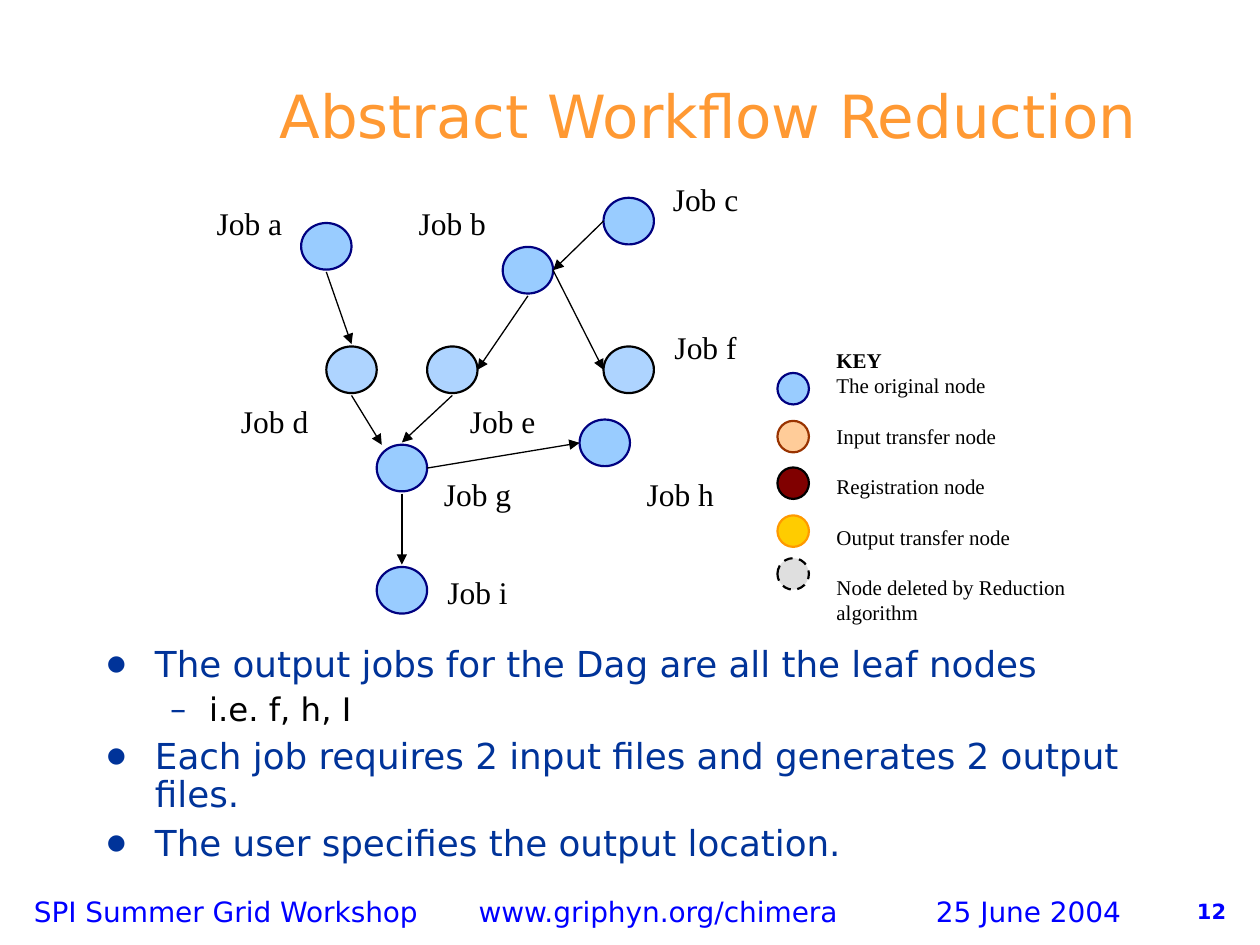
from lxml import etree
from pptx import Presentation
from pptx import util as u
from pptx.dml.color import RGBColor
from pptx.enum import dml, shapes, text
from pptx.oxml.ns import qn

SANS, SERIF = "DejaVu Sans", "Times New Roman"
BLACK, NAVY, BLUE, BODY_BLUE = "000000", "000080", "0000FF", "003399"
ORIGINAL = {"fill": "99CCFF", "line": NAVY}
LEAF = {"fill": "5FABFF", "line": BLACK, "alpha": 50}
NODE_WIDTH, NODE_HEIGHT, KEY_SIZE = 0.4, 0.37, 0.25

# job: node left and top, label left and top, style
JOBS = {
    "a": (2.39, 1.77, 1.58, 1.57, ORIGINAL),
    "b": (3.99, 1.96, 3.19, 1.57, ORIGINAL),
    "c": (4.79, 1.57, 5.2, 1.38, ORIGINAL),
    "d": (2.59, 2.75, 1.78, 3.14, LEAF),
    "e": (3.39, 2.75, 3.59, 3.14, LEAF),
    "f": (4.79, 2.75, 5.2, 2.55, LEAF),
    "g": (2.99, 3.53, 3.39, 3.72, ORIGINAL),
    "h": (4.6, 3.33, 5, 3.72, ORIGINAL),
    "i": (2.99, 4.5, 3.39, 4.5, ORIGINAL),
}

# Where an arrow may touch a node, as shares of its width and height
SIDES = {"top": (0.5, -0.05), "bottom": (0.5, 1.05), "left": (0, 0.5),
         "right": (1, 0.5), "shoulder": (0.1, 0)}

ARROWS = [
    ("a", "bottom", "d", "top"),
    ("d", "bottom", "g", "shoulder"),
    ("g", "bottom", "i", "top"),
    ("e", "bottom", "g", "top"),
    ("b", "bottom", "e", "right"),
    ("b", "right", "f", "left"),
    ("c", "left", "b", "right"),
    ("g", "right", "h", "left"),
]

# Key entries: text, circle top, style
KEY = [
    ("The original node", 2.96, ORIGINAL),
    ("Input transfer node", 3.34, {"fill": "FFCC99", "line": "993300"}),
    ("Registration node", 3.71, {"fill": "800000", "line": BLACK}),
    ("Output transfer node", 4.09, {"fill": "FFCC00", "line": "FF9900"}),
    ("Node deleted by Reduction algorithm", 4.43,
     {"fill": "C0C0C0", "line": BLACK, "alpha": 50, "dashed": True}),
]

BULLETS = [
    (0, "The output jobs for the Dag are all the leaf nodes"),
    (1, "i.e. f, h, I"),
    (0, "Each job requires 2 input files and generates 2 output files."),
    (0, "The user specifies the output location."),
]


def color(hex_value):
    return RGBColor.from_string(hex_value)


def add_xml(parent, tag, **attributes):
    return etree.SubElement(parent, qn(tag), attributes)


def write(paragraph, content, size=18, font=SERIF, ink=BLACK, bold=False,
          align=text.PP_ALIGN.LEFT, before=0):
    paragraph.alignment = align
    paragraph.space_before = u.Pt(before)
    run = paragraph.add_run()
    run.text = content
    run.font.size, run.font.name, run.font.bold = u.Pt(size), font, bold
    run.font.color.rgb = color(ink)


def place(shape, left, top, width, height):
    shape.left, shape.top = u.Inches(left), u.Inches(top)
    shape.width, shape.height = u.Inches(width), u.Inches(height)
    frame = shape.text_frame
    frame.word_wrap = True
    frame.auto_size = text.MSO_AUTO_SIZE.NONE
    frame.vertical_anchor = text.MSO_ANCHOR.TOP
    return frame


def add_text_box(slide, left, top, width, height):
    box = slide.shapes.add_textbox(0, 0, 0, 0)
    return place(box, left, top, width, height)


def add_circle(slide, left, top, width, height, fill, line, alpha=None, dashed=False):
    circle = slide.shapes.add_shape(
        shapes.MSO_SHAPE.OVAL, u.Inches(left), u.Inches(top),
        u.Inches(width), u.Inches(height))
    circle.shadow.inherit = False
    circle.fill.solid()
    circle.fill.fore_color.rgb = color(fill)
    circle.line.color.rgb = color(line)
    circle.line.width = u.Pt(1.25)
    if alpha:
        fill_color = circle._element.spPr.find(qn("a:solidFill"))[0]
        add_xml(fill_color, "a:alpha", val=str(alpha * 1000))
    if dashed:
        circle.line.dash_style = dml.MSO_LINE.DASH


def node_point(job, side):
    left, top = JOBS[job][:2]
    across, down = SIDES[side]
    return u.Inches(left + across * NODE_WIDTH), u.Inches(top + down * NODE_HEIGHT)


def add_arrow(slide, source, source_side, target, target_side):
    arrow = slide.shapes.add_connector(
        shapes.MSO_CONNECTOR.STRAIGHT,
        *node_point(source, source_side), *node_point(target, target_side))
    arrow.line.color.rgb = color(BLACK)
    arrow.line.width = u.Pt(0.75)
    add_xml(arrow.line._get_or_add_ln(), "a:tailEnd", type="triangle")
    add_xml(arrow._element.spPr, "a:effectLst")


def add_workflow(slide):
    for job, (left, top, label_left, label_top, style) in JOBS.items():
        add_circle(slide, left, top, NODE_WIDTH, NODE_HEIGHT, **style)
        label = add_text_box(slide, label_left, label_top, 0.8, 0.38)
        write(label.paragraphs[0], f"Job {job}", align=text.PP_ALIGN.CENTER)
    for arrow in ARROWS:
        add_arrow(slide, *arrow)


def add_key(slide):
    frame = add_text_box(slide, 6.54, 2.71, 2.37, 2.25)
    write(frame.paragraphs[0], "KEY", size=12, bold=True)
    for index, (name, top, style) in enumerate(KEY):
        write(frame.add_paragraph(), name, size=12, before=14.4 if index else 0)
        add_circle(slide, 6.17, top, KEY_SIZE, KEY_SIZE, **style)


def add_bullets(slide):
    frame = place(slide.placeholders[1], 0.75, 5.08, 8.5, 1.83)
    for index, (level, content) in enumerate(BULLETS):
        paragraph = frame.add_paragraph() if index else frame.paragraphs[0]
        paragraph.level = level
        paragraph.line_spacing = 0.9
        write(paragraph, content, font=SANS, size=18.5 if level else 20.4,
              ink=BLACK if level else BODY_BLUE,
              before=(5 if level else 5.5) if index else 0)
        # Bullet mark and hanging indent
        margin, hang = (0.81, 0.31) if level else (0.38, 0.38)
        properties = paragraph._p.get_or_add_pPr()
        properties.set("marL", str(u.Inches(margin)))
        properties.set("indent", str(-u.Inches(hang)))
        add_xml(add_xml(properties, "a:buClr"), "a:srgbClr", val=BODY_BLUE)
        add_xml(properties, "a:buSzPct", val="100000" if level else "60000")
        add_xml(properties, "a:buFont", typeface=SANS)
        add_xml(properties, "a:buChar", char="–" if level else "●")


def add_footer(slide):
    paragraph = add_text_box(slide, 0.17, 7.05, 9.25, 0.37).paragraphs[0]
    write(paragraph, "SPI Summer Grid Workshop\twww.griphyn.org/chimera\t25 June 2004",
          size=16, font=SANS, ink=BLUE)
    tabs = add_xml(paragraph._p.get_or_add_pPr(), "a:tabLst")
    for position in (3.53, 7.16):
        add_xml(tabs, "a:tab", pos=str(u.Inches(position)), algn="l")
    number = add_text_box(slide, 7.75, 7.08, 2.08, 0.33)
    write(number.paragraphs[0], "12", size=12, font=SANS, ink=BLUE, bold=True,
          align=text.PP_ALIGN.RIGHT)


def main():
    presentation = Presentation()
    presentation.slide_width, presentation.slide_height = u.Inches(10), u.Inches(7.5)
    slide = presentation.slides.add_slide(presentation.slide_layouts[1])
    title = place(slide.shapes.title, 1.58, 0.58, 8.08, 0.83)
    write(title.paragraphs[0], "Abstract Workflow Reduction", size=34, font=SANS,
          ink="FF9933", align=text.PP_ALIGN.CENTER)
    add_key(slide)
    add_workflow(slide)
    add_bullets(slide)
    add_footer(slide)
    presentation.save("out.pptx")


if __name__ == "__main__":
    main()
